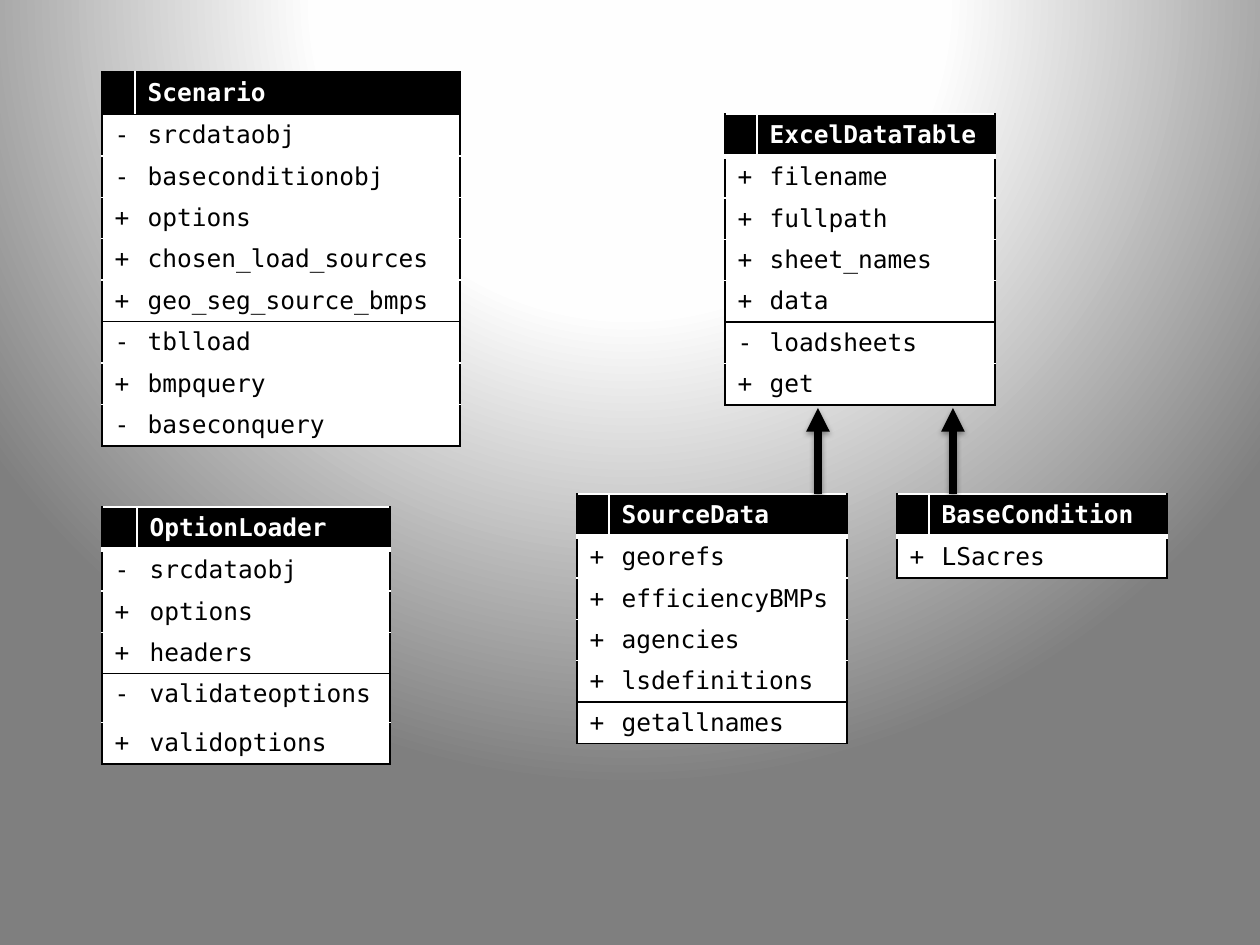
from pptx import Presentation
from pptx.dml.color import RGBColor as Color
from pptx.enum.shapes import MSO_CONNECTOR as Connector
from pptx.oxml import parse_xml
from pptx.oxml.ns import nsdecls, qn
from pptx.util import Emu, Pt
from lxml.etree import SubElement

COLORS = {"ink": "000000", "paper": "FFFFFF", "glow": "FEFEFE", "edge": "7F7F7F"}
PX = 914400 // 126
ROW = 41


class ClassDiagram:
    font = "DejaVu Sans Mono"
    size = 14

    def __init__(self, slide):
        self.slide = slide

    def background(self, stops):
        self.slide.background.fill.gradient()
        gradient = self.slide.element.find(".//" + qn("a:gradFill"))
        stop_xml = "".join(
            f'<a:gs pos="{position * 1000}"><a:srgbClr val="{COLORS[color]}"/></a:gs>'
            for position, color in stops
        )
        gradient.getparent().replace(gradient, parse_xml(
            f'<a:gradFill rotWithShape="1" {nsdecls("a")}><a:gsLst>{stop_xml}</a:gsLst>'
            '<a:path path="circle"><a:fillToRect l="50000" t="-80000" r="50000" b="180000"/>'
            '</a:path></a:gradFill>'
        ))

    def cell(self, cell, text, header, borders):
        fill, ink = ("ink", "paper") if header else ("paper", "ink")
        properties = cell._tc.get_or_add_tcPr()
        for side, (color, width) in zip("LRTB", borders):
            properties.append(parse_xml(
                f'<a:ln{side} w="{Pt(width)}" {nsdecls("a")}><a:solidFill>'
                f'<a:srgbClr val="{COLORS[color]}"/></a:solidFill></a:ln{side}>'
            ))
        cell.fill.solid()
        cell.fill.fore_color.rgb = Color.from_string(COLORS[fill])
        paragraph = cell.text_frame.paragraphs[0]
        if not text:
            SubElement(paragraph._p, qn("a:endParaRPr"), sz=str(self.size * 100))
            return
        run = paragraph.add_run()
        run.text = text
        run.font.name = self.font
        run.font.size = Pt(self.size)
        run.font.bold = header
        run.font.color.rgb = Color.from_string(COLORS[ink])

    def class_table(self, name, left, top, widths, sections, framed=False, tall=None):
        dark, light = ("ink", 1), ("paper", 1)
        rows = [("", name)]
        rules = [dark if framed else light, dark if framed else ("paper", 3)]
        for members in sections:
            rows += [member.split() for member in members]
            rules += [light] * (len(members) - 1) + [dark]
        frame = self.slide.shapes.add_table(
            len(rows), 2, left * PX, top * PX, sum(widths) * PX, ROW * len(rows) * PX
        )
        table = frame.table
        table.first_row = table.horz_banding = False
        for column, width in zip(table.columns, widths):
            column.width = Emu(width * PX)
        for index, (symbol, label) in enumerate(rows):
            table.rows[index].height = Emu((49 if label == tall else ROW) * PX)
            above = light if index == 1 and not framed else rules[index]
            below = rules[index + 1]
            header = index == 0
            self.cell(table.cell(index, 0), symbol, header, (dark, light, above, below))
            self.cell(table.cell(index, 1), label, header, (light, dark, above, below))

    def inheritance_arrow(self, x, start, end):
        arrow = self.slide.shapes.add_connector(
            Connector.STRAIGHT, x * PX, start * PX, x * PX, end * PX
        )
        arrow.line.width = Pt(4.5)
        arrow.line.color.rgb = Color.from_string(COLORS["ink"])
        SubElement(arrow.line._get_or_add_ln(), qn("a:tailEnd"), type="triangle")
        arrow.element.spPr.append(parse_xml(
            f'<a:effectLst {nsdecls("a")}><a:outerShdw blurRad="{Pt(3.1)}" dist="{Pt(1.6)}" '
            f'dir="5400000" rotWithShape="0"><a:srgbClr val="{COLORS["ink"]}">'
            '<a:alpha val="38000"/></a:srgbClr></a:outerShdw></a:effectLst>'
        ))


def main():
    presentation = Presentation()
    presentation.slide_width = Emu(1260 * PX)
    presentation.slide_height = Emu(945 * PX)
    diagram = ClassDiagram(presentation.slides.add_slide(presentation.slide_layouts[6]))
    diagram.background([(0, "paper"), (40, "glow"), (100, "edge")])

    diagram.class_table("Scenario", 102, 72, (33, 325), [
        ["- srcdataobj", "- baseconditionobj", "+ options",
         "+ chosen_load_sources", "+ geo_seg_source_bmps"],
        ["- tblload", "+ bmpquery", "- baseconquery"],
    ], framed=True)
    diagram.class_table("OptionLoader", 102, 507, (35, 253), [
        ["- srcdataobj", "+ options", "+ headers"],
        ["- validateoptions", "+ validoptions"],
    ], tall="validateoptions")

    narrow = (32, 238)
    diagram.class_table("ExcelDataTable", 725, 114, narrow, [
        ["+ filename", "+ fullpath", "+ sheet_names", "+ data"],
        ["- loadsheets", "+ get"],
    ])
    subclass_top = 494
    diagram.class_table("SourceData", 577, subclass_top, narrow, [
        ["+ georefs", "+ efficiencyBMPs", "+ agencies", "+ lsdefinitions"],
        ["+ getallnames"],
    ])
    diagram.class_table("BaseCondition", 897, subclass_top, narrow, [["+ LSacres"]])
    for x in (953, 818):
        diagram.inheritance_arrow(x, subclass_top, 408)

    presentation.save("out.pptx")


if __name__ == "__main__":
    main()
